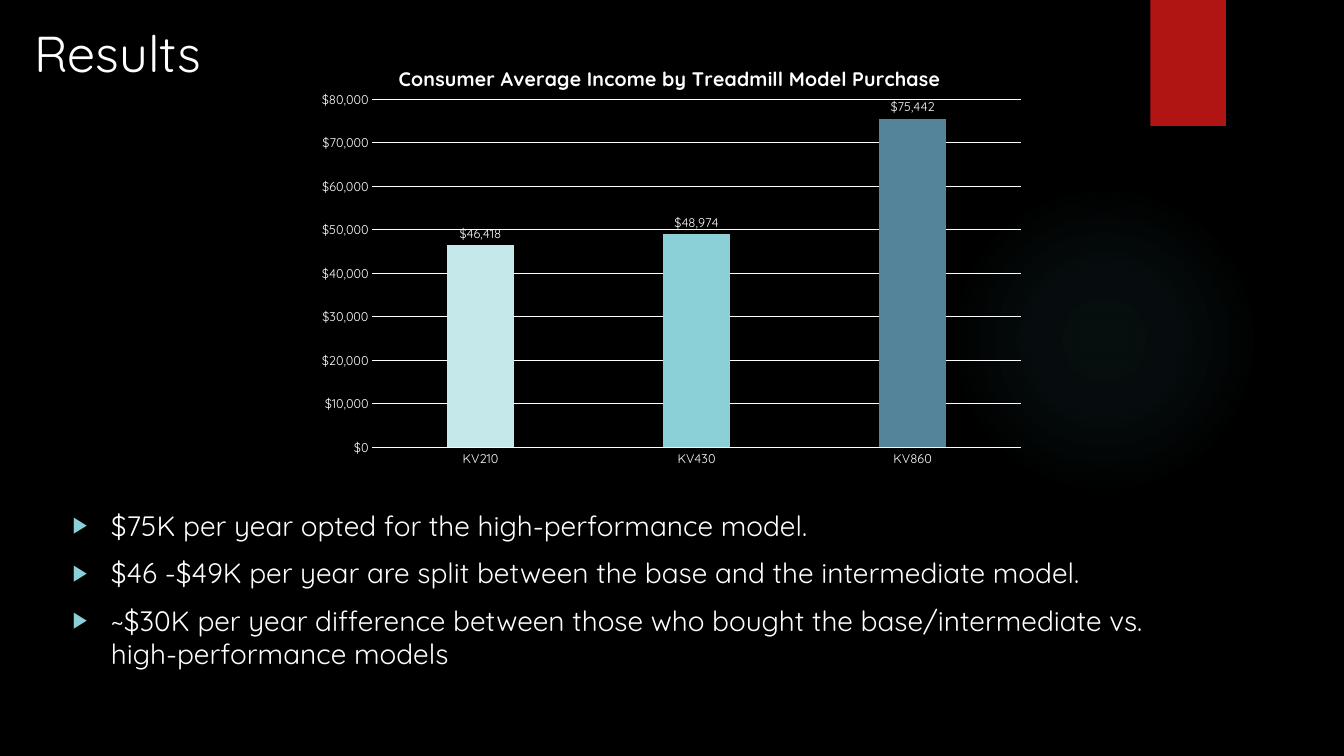
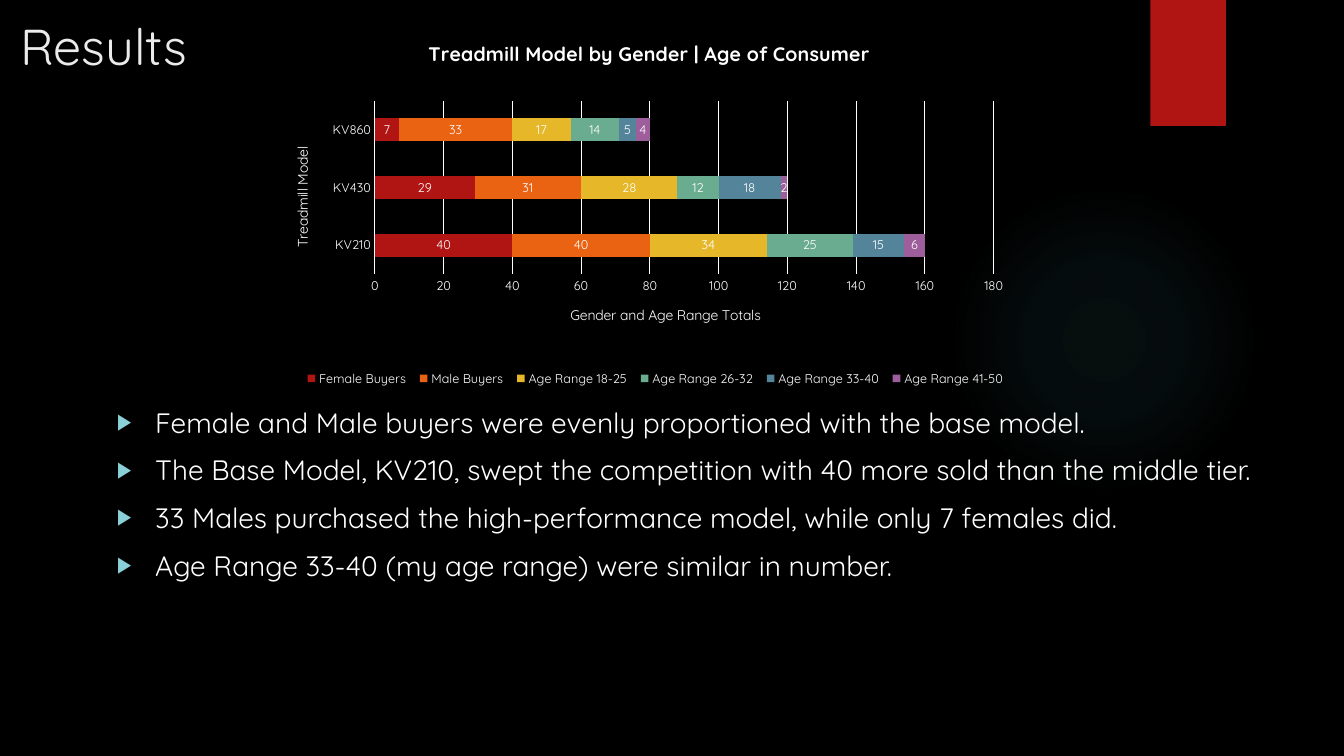
import pptx
import pptx.chart.data
import pptx.dml.color
import pptx.enum.chart
import pptx.enum.shapes
import pptx.enum.text
import pptx.oxml
import pptx.oxml.ns
import pptx.util

Inches, Pt = pptx.util.Inches, pptx.util.Pt
ChartType = pptx.enum.chart.XL_CHART_TYPE
LabelPosition = pptx.enum.chart.XL_LABEL_POSITION
Anchor = pptx.enum.text.MSO_ANCHOR

FONT = "Quicksand"
COLORS = {
    "black": "000000", "white": "FFFFFF", "light": "EBEBEB", "glow": "50B9C1",
    "red": "B01513", "orange": "EA6312", "yellow": "E6B729", "green": "6AAC90",
    "blue": "54849A", "purple": "9E5E9B", "aqua": "8AD0D6", "pale": "C5E8EA",
}
MODELS = ["KV210", "KV430", "KV860"]


def rgb(name):
    return pptx.dml.color.RGBColor.from_string(COLORS[name])


def style_font(font, size, color="white", bold=False):
    font.name, font.size, font.bold = FONT, Pt(size), bold
    font.color.rgb = rgb(color)


def add_run(paragraph, text, size, color="white", bold=False):
    run = paragraph.add_run()
    run.text = text
    style_font(run.font, size, color, bold)


def xml(tag, attributes="", inner=""):
    """Parse one element, with the drawing and chart namespaces declared."""
    declared = pptx.oxml.ns.nsdecls("a", "c")
    return pptx.oxml.parse_xml(f"<{tag} {declared} {attributes}>{inner}</{tag}>")


def place(chart, part, **fractions):
    """Give a chart part a manual layout, in fractions of the chart area."""
    element = chart.element.xpath(part)[0]
    for old in element.xpath("./c:layout"):
        element.remove(old)
    inner = '<c:layoutTarget val="inner"/>' if part.endswith("plotArea") else ""
    inner += '<c:xMode val="edge"/><c:yMode val="edge"/>'
    inner += "".join(f'<c:{key} val="{value}"/>' for key, value in fractions.items())
    layout = xml("c:layout", inner=f"<c:manualLayout>{inner}</c:manualLayout>")
    element.insert(len(element.xpath("./c:tx | ./c:legendPos")), layout)


class Deck:
    def __init__(self):
        self.prs = pptx.Presentation()
        self.prs.slide_width, self.prs.slide_height = Inches(13.33), Inches(7.5)
        backdrop = self.prs.slide_master.background.fill
        backdrop.solid()
        backdrop.fore_color.rgb = rgb("black")
        self.slide = None

    def new_slide(self):
        self.slide = self.prs.slides.add_slide(self.prs.slide_layouts[1])
        shapes = pptx.enum.shapes.MSO_SHAPE
        band = self.backdrop_shape(shapes.RECTANGLE, 11.41, 0, 0.75, 1.25)
        band.fill.solid()
        band.fill.fore_color.rgb = rgb("red")
        glow = self.backdrop_shape(shapes.OVAL, 9.41, 1.83, 3.08, 3.08)
        glow.fill.background()
        stops = "".join(
            f'<a:gs pos="{position}000"><a:srgbClr val="{COLORS["glow"]}">'
            f'<a:alpha val="{alpha}000"/></a:srgbClr></a:gs>'
            for position, alpha in [(0, 7), (36, 6), (69, 0)])
        gradient = xml("a:gradFill", inner=(
            f'<a:gsLst>{stops}</a:gsLst><a:path path="circle">'
            '<a:fillToRect l="50000" t="50000" r="50000" b="50000"/></a:path>'))
        no_fill = glow.element.xpath("./p:spPr/a:noFill")[0]
        no_fill.getparent().replace(no_fill, gradient)

    def backdrop_shape(self, kind, x, y, w, h):
        """Add a plain shape behind everything else on the slide."""
        shape = self.slide.shapes.add_shape(
            kind, Inches(x), Inches(y), Inches(w), Inches(h))
        shape.shadow.inherit = False
        shape.line.fill.background()
        shape.element.getparent().insert(2, shape.element)
        return shape

    def placeholder_frame(self, index, anchor, x, y, w, h):
        holder = self.slide.placeholders[index]
        holder.left, holder.top = Inches(x), Inches(y)
        holder.width, holder.height = Inches(w), Inches(h)
        frame = holder.text_frame
        frame.word_wrap = True
        frame.auto_size = pptx.enum.text.MSO_AUTO_SIZE.NONE
        frame.vertical_anchor = anchor
        return frame

    def title(self, text, box, color="white"):
        frame = self.placeholder_frame(0, Anchor.TOP, *box)
        heading = frame.paragraphs[0]
        heading.alignment = pptx.enum.text.PP_ALIGN.LEFT
        add_run(heading, text, 36, color)

    def bullets(self, findings, box):
        frame = self.placeholder_frame(1, Anchor.TOP, *box)
        for number, finding in enumerate(findings):
            paragraph = frame.add_paragraph() if number else frame.paragraphs[0]
            paragraph.space_before = Pt(10)
            add_run(paragraph, finding, 20)
            properties = paragraph._p.get_or_add_pPr()
            properties.set("marL", str(Inches(0.38)))
            properties.set("indent", str(-Inches(0.38)))
            properties.append(xml(
                "a:buClr", inner=f'<a:srgbClr val="{COLORS["aqua"]}"/>'))
            properties.append(xml("a:buSzPct", 'val="80000"'))
            properties.append(xml("a:buFont", 'typeface="Arial"'))
            properties.append(xml("a:buChar", 'char="▶"'))

    def chart(self, kind, series, box, title, title_x, top, step, gap, overlap,
              label_position, number_format="General"):
        """Add a bar chart; series holds (name, values, colour) rows."""
        data = pptx.chart.data.CategoryChartData(number_format=number_format)
        data.categories = MODELS
        for name, values, _ in series:
            data.add_series(name, values)
        chart = self.slide.shapes.add_chart(
            kind, *(Inches(length) for length in box), data).chart
        style_font(chart.font, 10)
        chart.has_legend = False
        chart.has_title = True
        add_run(chart.chart_title.text_frame.paragraphs[0], title, 14, bold=True)
        place(chart, "./c:chart/c:title", x=title_x, y=0.03)

        plot = chart.plots[0]
        plot.vary_by_categories = False
        plot.gap_width, plot.overlap = gap, overlap
        for row, (_, _, color) in zip(plot.series, series):
            row.format.fill.solid()
            row.format.fill.fore_color.rgb = rgb(color)
        plot.has_data_labels = True
        labels = plot.data_labels
        labels.show_value = True
        labels.position = label_position
        labels.number_format = number_format
        labels.number_format_is_linked = False
        style_font(labels.font, 9)

        models, amounts = chart.category_axis, chart.value_axis
        for axis in (models, amounts):
            axis.major_tick_mark = pptx.enum.chart.XL_TICK_MARK.NONE
            axis.minor_tick_mark = pptx.enum.chart.XL_TICK_MARK.NONE
            style_font(axis.tick_labels.font, 9)
        amounts.minimum_scale, amounts.maximum_scale = 0, top
        amounts.major_unit = step
        amounts.tick_labels.number_format = number_format
        amounts.tick_labels.number_format_is_linked = False
        amounts.format.line.fill.background()
        amounts.has_major_gridlines = True
        for line in (models.format.line, amounts.major_gridlines.format.line):
            line.color.rgb = rgb("white")
            line.width = Pt(0.75)
        return chart

    def axis_title(self, axis, text):
        frame = axis.axis_title.text_frame
        add_run(frame.paragraphs[0], text, 10)

    def legend(self, chart, **fractions):
        chart.has_legend = True
        chart.legend.position = pptx.enum.chart.XL_LEGEND_POSITION.BOTTOM
        chart.legend.include_in_layout = False
        style_font(chart.legend.font, 9)
        place(chart, ".//c:legend", **fractions)


def income_slide(deck):
    deck.new_slide()
    deck.title("Results", (0.24, 0.17, 6.67, 0.71))
    chart = deck.chart(
        ChartType.COLUMN_CLUSTERED,
        [("Series 1", (46418, 48974, 75442), "red")],
        (3.05, 0.47, 7.24, 4.29),
        "Consumer Average Income by Treadmill Model Purchase", 0.12,
        top=80000, step=10000, gap=219, overlap=-27,
        label_position=LabelPosition.OUTSIDE_END, number_format='"$"#,##0')
    place(chart, ".//c:plotArea", x=0.089, y=0.12, w=0.888, h=0.805)
    for number, color in enumerate(("pale", "aqua", "blue")):
        fill = chart.plots[0].series[0].points[number].format.fill
        fill.solid()
        fill.fore_color.rgb = rgb(color)
    deck.bullets([
        "$75K per year opted for the high-performance model.",
        "$46 -$49K per year are split between the base and the intermediate model.",
        "~$30K per year difference between those who bought the "
        "base/intermediate vs. high-performance models",
    ], (0.62, 4.99, 11.51, 2.04))


def buyers_slide(deck):
    deck.new_slide()
    deck.title("Results", (0.1, 0.1, 2.36, 0.82), "light")
    chart = deck.chart(
        ChartType.BAR_STACKED,
        [("Female Buyers", (40, 29, 7), "red"),
         ("Male Buyers", (40, 31, 33), "orange"),
         ("Age Range 18-25", (34, 28, 17), "yellow"),
         ("Age Range 26-32", (25, 12, 14), "green"),
         ("Age Range 33-40", (15, 18, 5), "blue"),
         ("Age Range 41-50", (6, 2, 4), "purple")],
        (2.56, 0.24, 7.88, 3.84),
        "Treadmill Model by Gender | Age of Consumer", 0.21,
        top=180, step=20, gap=150, overlap=100,
        label_position=LabelPosition.CENTER)
    place(chart, ".//c:plotArea", x=0.147, y=0.199, w=0.779, h=0.446)
    deck.axis_title(chart.category_axis, "Treadmill Model")
    deck.axis_title(chart.value_axis, "Gender and Age Range Totals")
    place(chart, ".//c:catAx/c:title", x=0.04, y=0.31)
    place(chart, ".//c:valAx/c:title", x=0.39, y=0.72)
    turned = chart.element.xpath(".//c:catAx/c:title//a:bodyPr")[0]
    turned.set("rot", "-5400000")
    turned.set("vert", "horz")
    deck.legend(chart, x=0.05, y=0.88, w=0.9, h=0.07)
    deck.bullets([
        "Female and Male buyers were evenly proportioned with the base model.",
        f"The Base Model, {MODELS[0]}, swept the competition with 40 more sold "
        "than the middle tier.",
        "33 Males purchased the high-performance model, while only 7 females did.",
        "Age Range 33-40 (my age range) were similar in number.",
    ], (1.06, 3.97, 11.64, 2.46))


def main():
    deck = Deck()
    income_slide(deck)
    buyers_slide(deck)
    deck.prs.save("out.pptx")


if __name__ == "__main__":
    main()
